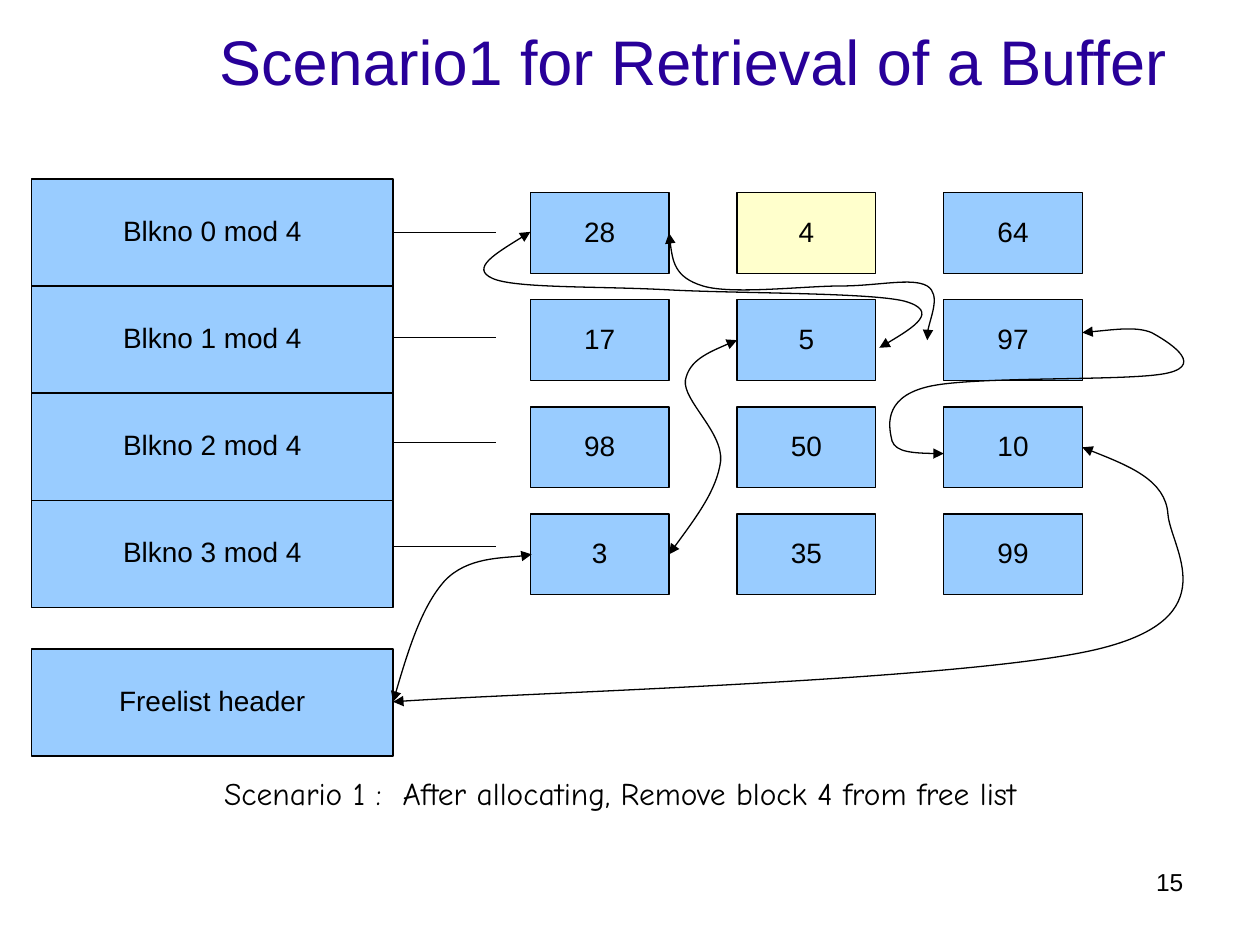
from dataclasses import dataclass

from lxml.etree import SubElement
from pptx import Presentation
from pptx.dml.color import RGBColor
from pptx.enum.shapes import MSO_CONNECTOR, MSO_SHAPE
from pptx.enum.text import MSO_ANCHOR, MSO_AUTO_SIZE, PP_ALIGN
from pptx.oxml.ns import qn
from pptx.util import Inches, Pt

COLORS = {
    "title": "280099",
    "block": "99CCFF",
    "allocated": "FFFFCC",
    "ink": "000000",
}
LINE_WIDTH = Pt(0.75)

# Hash queue layout, in inches
QUEUE_TOP, ROW_PITCH = 1.42, 0.85
HEADER_LEFT, HEADER_WIDTH = 0.25, 2.87
BUFFER_LEFT, BUFFER_TOP, BUFFER_PITCH = 4.21, 1.53, 1.64
BUFFER_WIDTH, BUFFER_HEIGHT = 1.1, 0.64
STUB_TOP, STUB_PITCH, STUB_END = 1.85, 0.83, 3.94

QUEUES = [(28, 4, 64), (17, 5, 97), (98, 50, 10), (3, 35, 99)]
ALLOCATED_BLOCK = 4


@dataclass
class Block:
    label: str
    left: float
    top: float
    width: float
    height: float
    color: str = "block"


@dataclass
class FreeLink:
    """A start point, then three Bezier points for each curve segment."""
    start: tuple[float, float]
    curve: list[tuple[float, float]]


FREE_LINKS = [
    # Freelist header and block 3
    FreeLink((3.12, 5.57), [(3.23, 5.19), (3.35, 4.81), (3.53, 4.61),
                            (3.71, 4.42), (4.1, 4.43), (4.22, 4.4)]),
    # Blocks 3 and 5
    FreeLink((5.31, 4.4), [(5.5, 4.14), (5.69, 3.89), (5.72, 3.66),
                           (5.74, 3.43), (5.42, 3.18), (5.44, 3.02),
                           (5.47, 2.86), (5.66, 2.78), (5.85, 2.7)]),
    # Blocks 28 and 97
    FreeLink((5.31, 1.85), [(5.33, 2.02), (5.35, 2.2), (5.58, 2.27),
                            (5.81, 2.34), (6.38, 2.27), (6.67, 2.27),
                            (6.97, 2.27), (7.24, 2.2), (7.36, 2.27),
                            (7.47, 2.34), (7.34, 2.63), (7.36, 2.7)]),
    # Blocks 97 and 10
    FreeLink((8.59, 2.64), [(8.81, 2.62), (9.02, 2.59), (9.14, 2.64),
                            (9.25, 2.7), (9.57, 2.89), (9.27, 2.96),
                            (8.98, 3.03), (7.72, 2.98), (7.36, 3.07),
                            (6.99, 3.16), (7.06, 3.41), (7.08, 3.5),
                            (7.11, 3.59), (7.3, 3.6), (7.49, 3.6)]),
    # Block 10 and freelist header
    FreeLink((8.59, 3.55), [(8.92, 3.68), (9.25, 3.81), (9.27, 4.08),
                            (9.29, 4.35), (9.75, 4.9), (8.72, 5.15),
                            (7.7, 5.4), (4.05, 5.5), (3.12, 5.57)]),
    # Blocks 5 and 28
    FreeLink((6.98, 2.76), [(7.22, 2.62), (7.46, 2.47), (7.18, 2.39),
                            (6.9, 2.32), (5.84, 2.33), (5.3, 2.3),
                            (4.75, 2.27), (4.09, 2.29), (3.91, 2.21),
                            (3.73, 2.13), (3.97, 1.99), (4.21, 1.84)]),
]


def color(name: str) -> RGBColor:
    return RGBColor.from_string(COLORS[name])


def write(frame, text: str, *, size: float, font: str = "Arial",
          ink: str = "ink", align=PP_ALIGN.LEFT, anchor=MSO_ANCHOR.TOP,
          wrap: bool = False, spacing: float = 1.0, before: float = 0) -> None:
    frame.word_wrap = wrap
    frame.vertical_anchor = anchor
    para = frame.paragraphs[0]
    para.alignment = align
    para.line_spacing = spacing
    para.space_before = Pt(before)
    span = para.add_run()
    span.text = text
    span.font.size = Pt(size)
    span.font.name = font
    span.font.color.rgb = color(ink)


def draw_block(page, block: Block):
    box = page.shapes.add_shape(
        MSO_SHAPE.RECTANGLE, Inches(block.left), Inches(block.top),
        Inches(block.width), Inches(block.height))
    box.shadow.inherit = False
    box.fill.solid()
    box.fill.fore_color.rgb = color(block.color)
    box.line.color.rgb = color("ink")
    box.line.width = LINE_WIDTH
    write(box.text_frame, block.label, size=16, align=PP_ALIGN.CENTER,
          anchor=MSO_ANCHOR.MIDDLE, spacing=0.91)
    return box


def draw_stub(page, row: int, header) -> None:
    height = Inches(STUB_TOP + row * STUB_PITCH)
    stub = page.shapes.add_connector(
        MSO_CONNECTOR.STRAIGHT, Inches(HEADER_LEFT + HEADER_WIDTH), height,
        Inches(STUB_END), height)
    if row == 0:  # only the first stub leaves from the middle of its header
        stub.begin_connect(header, 3)
        stub.end_y = stub.begin_y
    stub.line.color.rgb = color("ink")
    stub.line.width = LINE_WIDTH
    SubElement(stub.element.spPr, qn("a:effectLst"))


def draw_free_link(page, link: FreeLink) -> None:
    start_x, start_y = link.start
    builder = page.shapes.build_freeform(Inches(start_x), Inches(start_y))
    builder.add_line_segments(
        [(Inches(x), Inches(y)) for x, y in link.curve], close=False)
    arrow = builder.convert_to_shape()
    arrow.shadow.inherit = False
    arrow.fill.background()
    arrow.line.color.rgb = color("ink")
    arrow.line.width = LINE_WIDTH

    # Turn every three line points into one Bezier segment
    outline = next(arrow.element.iter(qn("a:path")))
    steps = outline.findall(qn("a:lnTo"))
    for first in range(0, len(steps), 3):
        bezier = SubElement(outline, qn("a:cubicBezTo"))
        for step in steps[first:first + 3]:
            bezier.append(step[0])
            outline.remove(step)

    # Arrowheads at both ends
    line = arrow.element.spPr.find(qn("a:ln"))
    for end in ("a:headEnd", "a:tailEnd"):
        SubElement(line, qn(end), type="triangle")


def add_text_box(page, left: float, top: float, width: float, height: float):
    return page.shapes.add_textbox(Inches(left), Inches(top), Inches(width),
                                   Inches(height)).text_frame


def main() -> None:
    deck = Presentation()
    deck.slide_width, deck.slide_height = Inches(10), Inches(7.5)
    page = deck.slides.add_slide(deck.slide_layouts[5])

    # Title
    title = page.shapes.title
    title.left, title.top = Inches(1), Inches(0)
    title.width, title.height = Inches(9), Inches(1)
    frame = title.text_frame
    frame.margin_left = frame.margin_right = 0
    frame.margin_top = frame.margin_bottom = 0
    frame.auto_size = MSO_AUTO_SIZE.SHAPE_TO_FIT_TEXT
    write(frame, "Scenario1 for Retrieval of a Buffer", size=36, ink="title",
          align=PP_ALIGN.CENTER, anchor=MSO_ANCHOR.MIDDLE, wrap=True,
          spacing=0.98, before=11)

    # Hash queues: header, stub and buffers of each row
    for row, numbers in enumerate(QUEUES):
        offset = row * ROW_PITCH
        header = draw_block(page, Block(
            f"Blkno {row} mod 4", HEADER_LEFT, QUEUE_TOP + offset,
            HEADER_WIDTH, ROW_PITCH))
        draw_stub(page, row, header)
        for column, number in enumerate(numbers):
            fill = "allocated" if number == ALLOCATED_BLOCK else "block"
            draw_block(page, Block(
                str(number), BUFFER_LEFT + column * BUFFER_PITCH,
                BUFFER_TOP + offset, BUFFER_WIDTH, BUFFER_HEIGHT, fill))

    # Free list
    draw_block(page, Block("Freelist header", HEADER_LEFT, 5.15,
                           HEADER_WIDTH, ROW_PITCH))
    for link in FREE_LINKS:
        draw_free_link(page, link)

    # Caption and page number
    caption = add_text_box(page, 1.68, 6.09, 6.51, 0.4)
    caption.auto_size = MSO_AUTO_SIZE.SHAPE_TO_FIT_TEXT
    write(caption,
          "Scenario 1 :  After allocating, Remove block 4 from free list",
          size=18, font="Comic Neue")
    write(add_text_box(page, 7.17, 6.83, 2.32, 0.52), "15", size=14,
          align=PP_ALIGN.RIGHT, wrap=True)

    deck.save("out.pptx")


if __name__ == "__main__":
    main()
